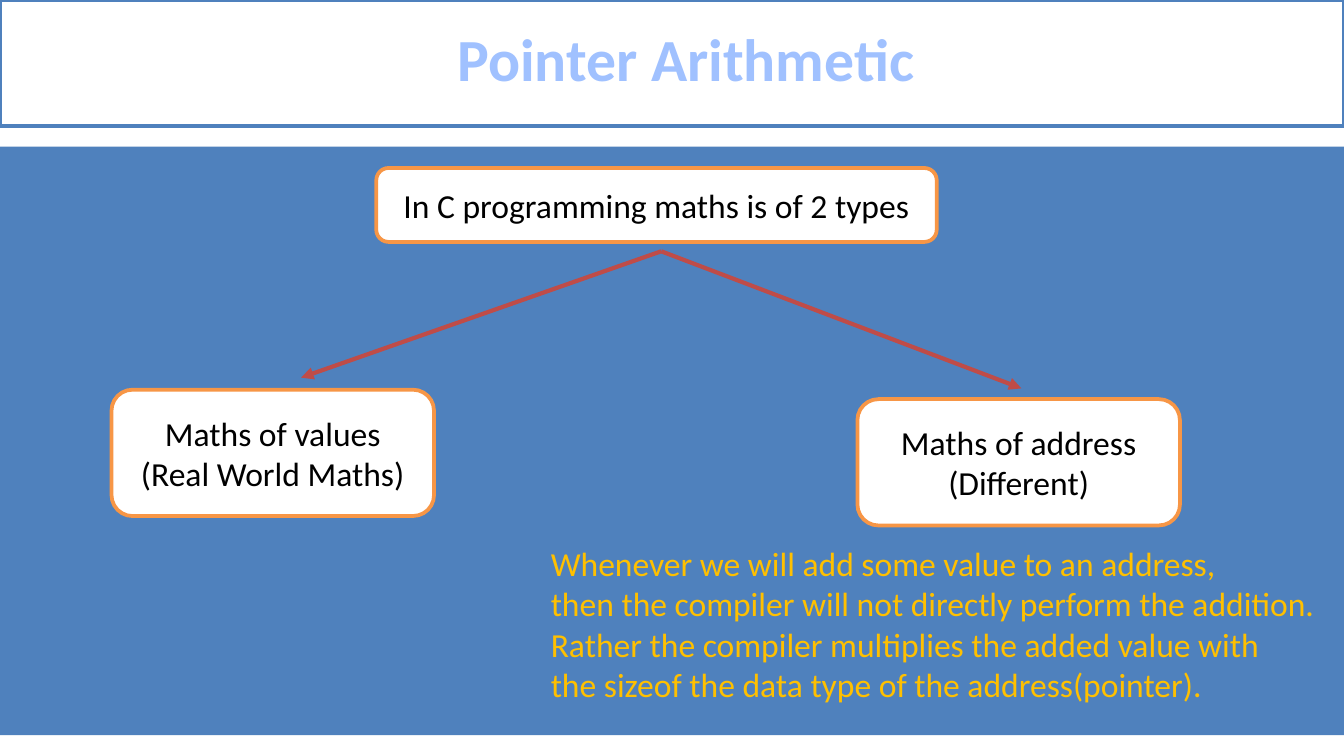
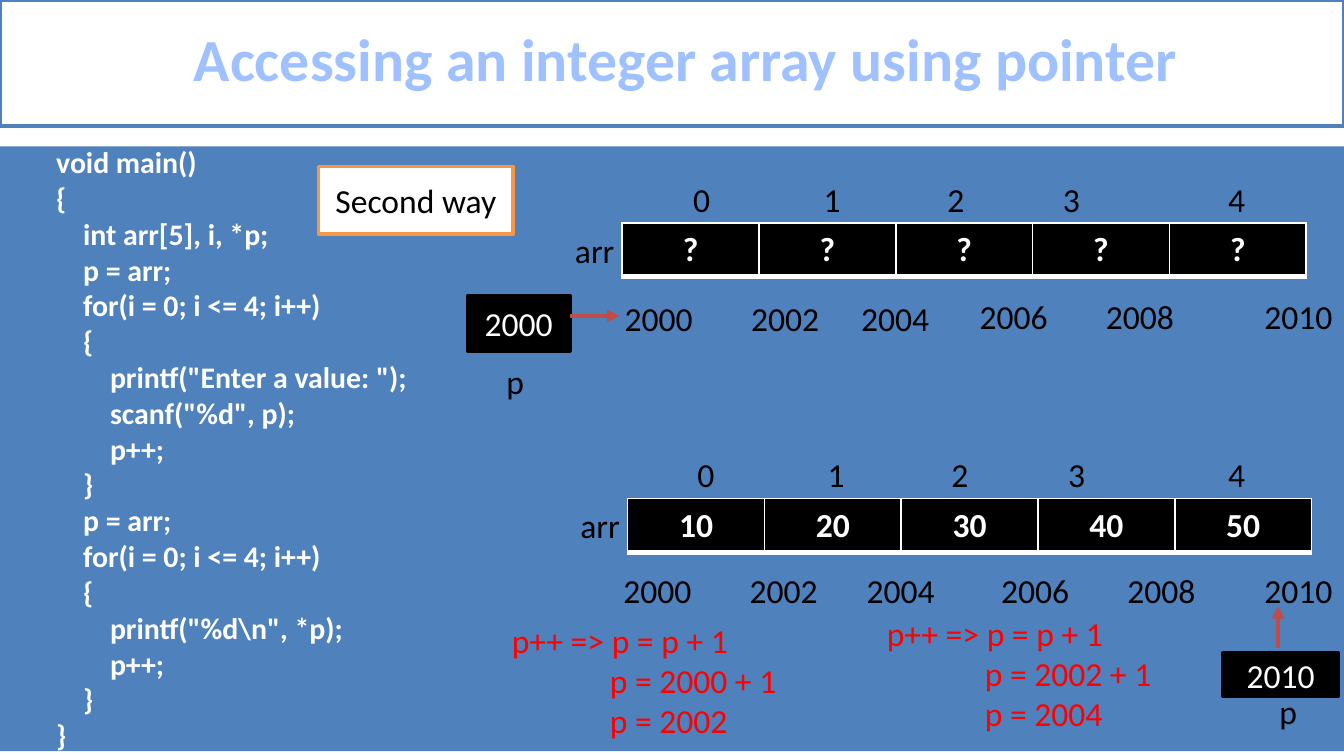
from lxml.etree import SubElement
from pptx import Presentation
from pptx.dml.color import RGBColor
from pptx.enum.shapes import MSO_CONNECTOR as Connector, MSO_SHAPE as Shape
from pptx.enum.text import MSO_ANCHOR as Anchor, PP_ALIGN as Align
from pptx.oxml.ns import qn
from pptx.util import Inches, Pt

FONT = "Calibri"
BLUE = "4F81BD"
TITLE_BLUE = "A0C1FF"
ORANGE = "F79646"
ARROW_RED = "BF4C48"
RED = "FF0000"
GOLD = "FFC000"
WHITE = "FFFFFF"
BLACK = "000000"

SLIDE_WIDTH = 10
ARRAY_WIDTH = 5.09
CELL_HEIGHT = 0.4
LABEL_HEIGHT = 0.4
STEP_INDENT = 0.73

CODE = r"""void main()
{
    int arr[5], i, *p;
    p = arr;
    for(i = 0; i <= 4; i++)
    {
        printf("Enter a value: ");
        scanf("%d", p);
        p++;
    }
    p = arr;
    for(i = 0; i <= 4; i++)
    {
        printf("%d\n", *p);
        p++;
    }
}"""


def color(value):
    return RGBColor.from_string(value)


def write(frame, lines, ink=BLACK, size=18, bold=False, align=Align.LEFT, indents=()):
    for number, line in enumerate(lines):
        paragraph = frame.paragraphs[0] if number == 0 else frame.add_paragraph()
        if indents:
            properties = paragraph._p.get_or_add_pPr()
            properties.set("marL", str(Inches(indents[number])))
            properties.set("indent", "0")
        paragraph.alignment = align
        run = paragraph.add_run()
        run.text = line
        run.font.name = FONT
        run.font.size = Pt(size)
        run.font.bold = bold
        run.font.color.rgb = color(ink)


def add_text(slide, box, lines, wrap=True, **style):
    frame = slide.shapes.add_textbox(*map(Inches, box)).text_frame
    frame.word_wrap = wrap
    write(frame, lines, **style)


def add_box(slide, box, lines=(), kind=Shape.RECTANGLE, fill=WHITE, line=None, **style):
    panel = slide.shapes.add_shape(kind, *map(Inches, box))
    panel.shadow.inherit = False
    panel.fill.solid()
    panel.fill.fore_color.rgb = color(fill)
    if line:
        panel.line.color.rgb = color(line)
        panel.line.width = Pt(2)
    else:
        panel.line.fill.background()
    frame = panel.text_frame
    frame.word_wrap = True
    frame.vertical_anchor = Anchor.MIDDLE
    write(frame, lines, align=Align.CENTER, **style)
    return panel


def add_arrow(slide, start, end):
    arrow = slide.shapes.add_connector(Connector.STRAIGHT, *map(Inches, start + end))
    arrow.line.color.rgb = color(ARROW_RED)
    arrow.line.width = Pt(2.25)
    SubElement(arrow.line._get_or_add_ln(), qn("a:tailEnd"), type="triangle")
    SubElement(arrow._element.spPr, qn("a:effectLst"))


def add_page(deck, title, body_height):
    slide = deck.slides.add_slide(deck.slide_layouts[6])
    add_box(slide, (0, 1.09, SLIDE_WIDTH, body_height), fill=BLUE)
    band = add_box(slide, (0, 0, SLIDE_WIDTH, 0.94), [title], line=BLUE,
                   ink=TITLE_BLUE, size=32, bold=True, indents=[0.21])
    band.text_frame.margin_bottom = Inches(0.09)
    band.text_frame.paragraphs[0].line_spacing = 0.96
    return slide


def add_border(cell):
    properties = cell._tc.get_or_add_tcPr()
    for position, (side, points) in enumerate((("L", 1), ("R", 1), ("T", 1), ("B", 3))):
        edge = SubElement(properties, qn(f"a:ln{side}"), w=str(Pt(points)))
        fill = SubElement(edge, qn("a:solidFill"))
        SubElement(fill, qn("a:srgbClr"), val=WHITE)
        properties.insert(position, edge)


def add_array(slide, left, top, values, index_offsets, address_offsets):
    table = slide.shapes.add_table(1, len(values), Inches(left), Inches(top),
                                   Inches(ARRAY_WIDTH), Inches(CELL_HEIGHT)).table
    table.horz_banding = False
    for column, value in enumerate(values):
        table.columns[column].width = Inches(ARRAY_WIDTH / len(values))
        cell = table.cell(0, column)
        cell.fill.solid()
        cell.fill.fore_color.rgb = color(BLACK)
        add_border(cell)
        write(cell.text_frame, [value], ink=WHITE, bold=True, align=Align.CENTER)

    add_text(slide, (left - 0.45, top, 0.56, LABEL_HEIGHT), ["arr"])
    for index, dx in enumerate(index_offsets):
        add_text(slide, (left + dx, top - 0.38, 0.37, LABEL_HEIGHT), [str(index)])
    for index, (dx, dy) in enumerate(address_offsets):
        add_text(slide, (left + dx, top + dy, 0.8, LABEL_HEIGHT), [str(2000 + 2 * index)])


def add_pointer(slide, box, address, label_offset, start, end):
    left, top = box[:2]
    dx, dy = label_offset
    add_box(slide, box, [address], fill=BLACK, line=BLACK, ink=WHITE)
    add_text(slide, (left + dx, top + dy, 0.38, LABEL_HEIGHT), ["p"])
    add_arrow(slide, start, end)


def add_increment(slide, left, top, width, address):
    steps = ["p++ => p = p + 1", f"p = {address} + 1", f"p = {address + 2}"]
    add_text(slide, (left, top, width, 1.01), steps, ink=RED,
             indents=(0, STEP_INDENT, STEP_INDENT))


def build_arithmetic(deck):
    slide = add_page(deck, "Pointer Arithmetic", 4.38)
    nodes = [
        ((2.8, 1.25, 4.17, 0.55), ["In C programming maths is of 2 types"]),
        ((0.83, 2.9, 2.4, 0.94), ["Maths of values", "(Real World Maths)"]),
        ((6.38, 2.97, 2.4, 0.94), ["Maths of address", "(Different)"]),
    ]
    for box, lines in nodes:
        add_box(slide, box, lines, kind=Shape.ROUNDED_RECTANGLE, line=ORANGE)
    for end in ((7.6, 2.89), (2.24, 2.81)):
        add_arrow(slide, (4.92, 1.87), end)
    add_text(slide, (4, 3.99, 5.96, 1.31), [
        "Whenever we will add some value to an address,",
        "then the compiler will not directly perform the addition.",
        "Rather the compiler multiplies the added value with",
        "the sizeof the data type of the address(pointer).",
    ], wrap=False, ink=GOLD)


def build_array_access(deck):
    slide = add_page(deck, "Accessing an integer array using pointer", 4.5)
    code_lines = CODE.splitlines()
    add_text(slide, (0, 1.02, 9.82, 4.68), code_lines, ink=WHITE, size=16, bold=True,
             indents=[0.32] * len(code_lines))

    add_array(slide, 4.63, 1.66, ["?"] * 5, (0.43, 1.4, 2.32, 3.18, 4.41),
              [(-0.08, 0.51), (0.86, 0.51), (1.68, 0.51),
               (2.56, 0.49), (3.5, 0.49), (4.68, 0.49)])
    add_pointer(slide, (3.48, 2.2, 0.76, 0.41), "2000", (0.19, 0.44),
                (4.24, 2.35), (4.61, 2.35))
    add_increment(slide, 3.71, 4.56, 2.21, 2000)

    add_array(slide, 4.67, 3.71, ["10", "20", "30", "40", "50"],
              (0.42, 1.39, 2.31, 3.18, 4.37),
              [(dx, 0.48) for dx in (-0.13, 0.81, 1.68, 2.68, 3.62, 4.64)])
    add_pointer(slide, (9.1, 4.86, 0.86, 0.32), "2010", (0.32, 0.23),
                (9.51, 4.82), (9.51, 4.51))
    add_increment(slide, 6.5, 4.51, 2.99, 2002)

    add_box(slide, (2.37, 1.24, 1.45, 0.5), ["Second way"], line=ORANGE)


def main():
    deck = Presentation()
    deck.slide_width = Inches(SLIDE_WIDTH)
    deck.slide_height = Inches(SLIDE_WIDTH * 9 / 16)
    build_arithmetic(deck)
    build_array_access(deck)
    deck.save("out.pptx")


if __name__ == "__main__":
    main()
